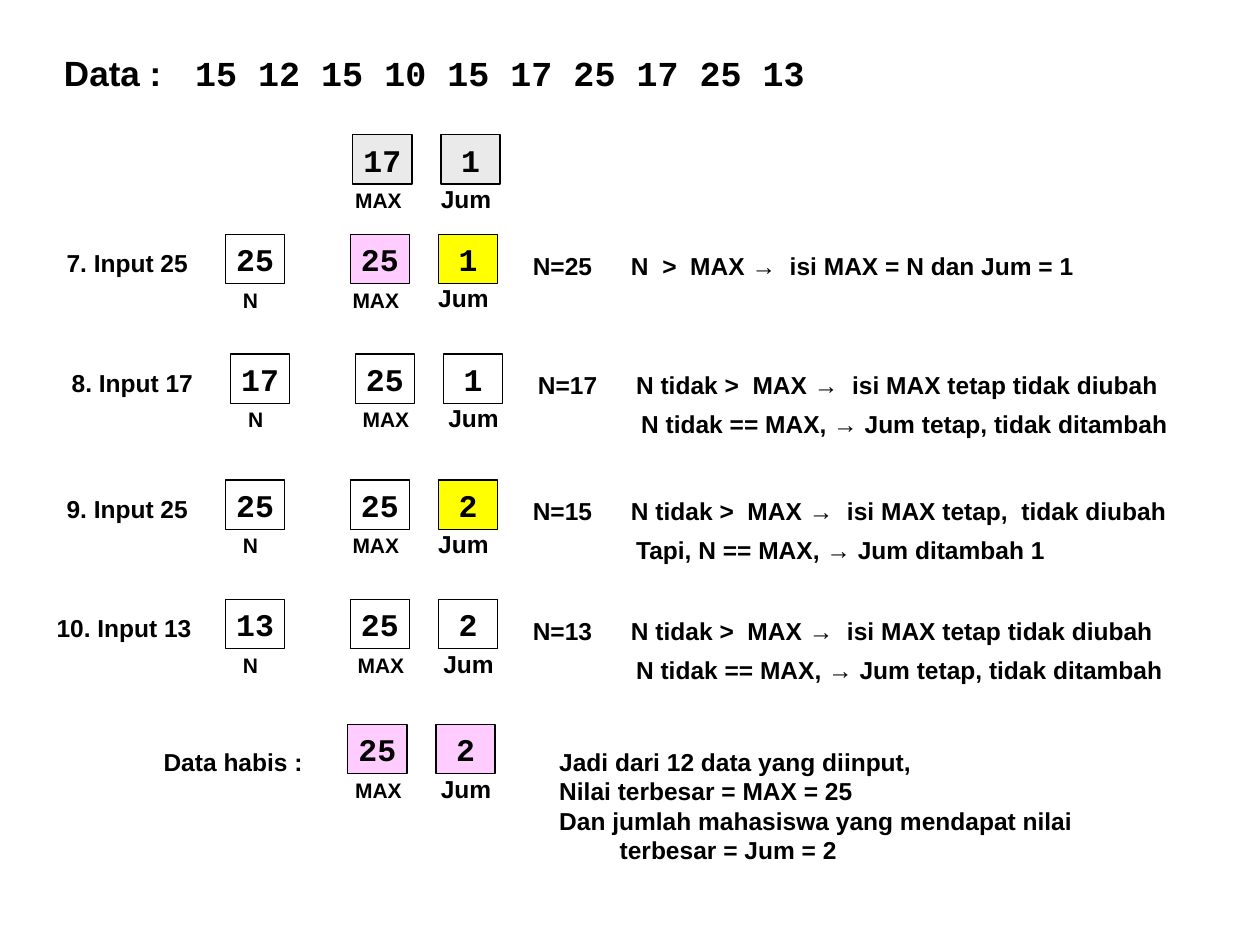
from pptx import Presentation
from pptx.dml.color import RGBColor
from pptx.enum.shapes import MSO_SHAPE
from pptx.enum.text import MSO_ANCHOR, MSO_AUTO_SIZE, PP_ALIGN
from pptx.util import Inches, Pt

COLORS = {
    "black": "000000",
    "gray": "EAEAEA",
    "pink": "FFCCFF",
    "yellow": "FFFF00",
}
LINE_H = {12: 0.3, 14: 0.34, 20: 0.44}
CELL_W, CELL_H = 0.47, 0.39
CELL_GAP = 0.7


def rgb(name):
    return RGBColor.from_string(COLORS[name])


def write(p, text, size=14, font="Arial", align=PP_ALIGN.LEFT):
    p.alignment = align
    r = p.add_run()
    r.text = text
    r.font.name = font
    r.font.size = Pt(size)
    r.font.bold = True
    r.font.color.rgb = rgb("black")


def add_label(s, x, y, w, text, size=14, font="Arial"):
    tb = s.shapes.add_textbox(Inches(x), Inches(y), Inches(w), Inches(LINE_H[size]))
    tf = tb.text_frame
    tf.word_wrap = False
    tf.auto_size = MSO_AUTO_SIZE.SHAPE_TO_FIT_TEXT
    write(tf.paragraphs[0], text, size=size, font=font)


def add_cell(s, x, y, value, fill=None):
    sp = s.shapes.add_shape(MSO_SHAPE.RECTANGLE, Inches(x), Inches(y), Inches(CELL_W), Inches(CELL_H))
    sp.shadow.inherit = False
    if fill:
        sp.fill.solid()
        sp.fill.fore_color.rgb = rgb(fill)
    else:
        sp.fill.background()
    sp.line.color.rgb = rgb("black")
    sp.line.width = Pt(0.75)
    tf = sp.text_frame
    tf.word_wrap = False
    tf.vertical_anchor = MSO_ANCHOR.MIDDLE
    write(tf.paragraphs[0], value, size=18, font="Courier New", align=PP_ALIGN.CENTER)


def add_header(s, x, y):
    add_label(s, x, y, 0.97, "Data :", size=20)
    add_label(s, x + 1.04, y, 5.21, "15 12 15 10 15 17 25 17 25 13", size=20, font="Courier New")


def add_state(s, x, y, values, fills=(None, None), shift=0):
    for i, (value, fill) in enumerate(zip(values, fills)):
        add_cell(s, x + i * CELL_GAP, y, value, fill)
    add_label(s, x - 0.08 + shift, y + 0.37, 0.57, "MAX", size=12)
    add_label(s, x + CELL_GAP - 0.1 + shift, y + 0.34, 0.6, "Jum")


def add_step(s, x, y, title, n, values, check, notes, fills=(None, None), shift=0, title_x=0.43, title_w=1.18):
    add_label(s, title_x, y + 0.06, title_w, title)
    add_cell(s, x, y, n)
    add_label(s, x + 0.04, y + 0.37, 0.32, "N", size=12)
    add_state(s, x + 0.99, y, values, fills, shift)
    add_label(s, x + 2.34, y + 0.08, 0.72, check)
    for i, (note, w) in enumerate(notes):
        add_label(s, x + 3.12 + i * 0.04, y + 0.08 + i * 0.31, w, note)


def add_result(s, x, y):
    add_label(s, x, y + 0.13, 1.36, "Data habis :")
    add_state(s, x + 1.56, y, ("25", "2"), ("pink", "pink"), shift=0.04)
    tb = s.shapes.add_textbox(Inches(x + 3.14), Inches(y + 0.13), Inches(4.3), Inches(1.04))
    tf = tb.text_frame
    tf.word_wrap = False
    tf.auto_size = MSO_AUTO_SIZE.SHAPE_TO_FIT_TEXT
    lines = (
        ("Jadi dari 12 data yang diinput,", 0),
        ("Nilai terbesar = MAX = 25", 0),
        ("Dan jumlah mahasiswa yang mendapat nilai", 0),
        ("terbesar = Jum = 2", 0.48),
    )
    for i, (line, indent) in enumerate(lines):
        p = tf.add_paragraph() if i else tf.paragraphs[0]
        if indent:
            pPr = p._p.get_or_add_pPr()
            pPr.set("marL", str(Inches(indent)))
            pPr.set("indent", "0")
        write(p, line)


def main():
    prs = Presentation()
    prs.slide_width, prs.slide_height = Inches(10), Inches(7.5)
    s = prs.slides.add_slide(prs.slide_layouts[6])

    keep_max = ("N tidak >  MAX →  isi MAX tetap tidak diubah", 4.37)
    keep_jum = ("N tidak == MAX, → Jum tetap, tidak ditambah", 4.4)

    add_header(s, 0.41, 0.36)
    add_state(s, 2.8, 1.07, ("17", "1"), ("gray", "gray"))
    add_step(s, 1.79, 1.86, "7. Input 25", "25", ("25", "1"), "N=25",
             [("N  >  MAX →  isi MAX = N dan Jum = 1", 3.74)], fills=("pink", "yellow"))
    add_step(s, 1.83, 2.81, "8. Input 17", "17", ("25", "1"), "N=17",
             [keep_max, keep_jum], shift=0.04, title_x=0.47)
    add_step(s, 1.79, 3.81, "9. Input 25", "25", ("25", "2"), "N=15",
             [("N tidak >  MAX →  isi MAX tetap,  tidak diubah", 4.47),
              ("Tapi, N == MAX, → Jum ditambah 1", 3.48)], fills=(None, "yellow"))
    add_step(s, 1.79, 4.76, "10. Input 13", "13", ("25", "2"), "N=13",
             [keep_max, keep_jum], shift=0.04, title_x=0.35, title_w=1.28)
    add_result(s, 1.2, 5.75)

    prs.save("out.pptx")


if __name__ == "__main__":
    main()
